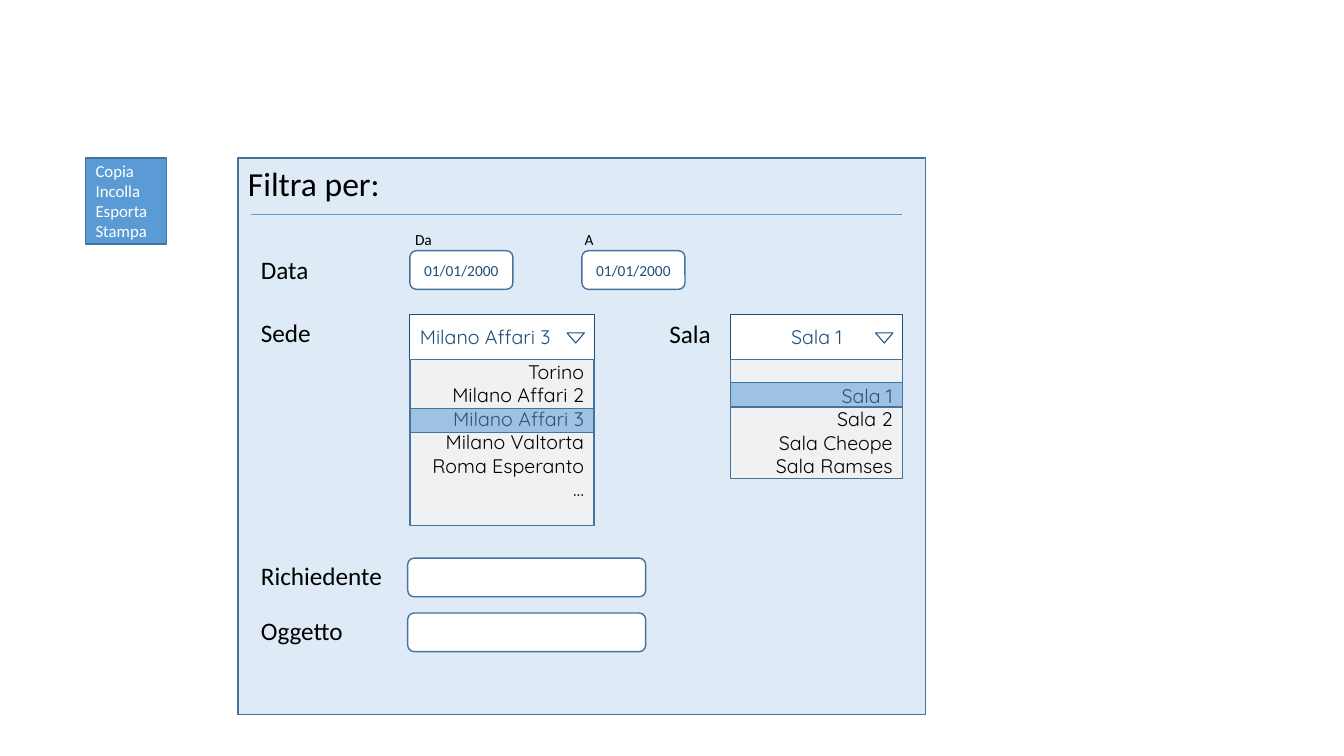
import pptx
import pptx.util
import pptx.dml.color
import pptx.enum.shapes
import pptx.enum.text
import pptx.oxml.ns
import lxml.etree

Pt = pptx.util.Pt
Shape = pptx.enum.shapes.MSO_SHAPE
Align = pptx.enum.text.PP_ALIGN
Anchor = pptx.enum.text.MSO_ANCHOR
qn = pptx.oxml.ns.qn

COLORS = {
    "black": "000000",
    "white": "FFFFFF",
    "panel": "DEEBF7",
    "accent": "5B9BD5",
    "border": "43739E",
    "navy": "1F4E79",
    "list": "F2F2F2",
}


class FilterForm:
    """Draws the elements of a filter form on one slide."""

    def __init__(self, slide):
        self.slide = slide
        self.font = "Calibri"
        self.list_font = "Quicksand"

    def color(self, name):
        return pptx.dml.color.RGBColor.from_string(COLORS[name])

    def add_text(self, sp, lines, size, color, font=None, align=Align.LEFT,
                 anchor=Anchor.MIDDLE, top=3.6):
        tf = sp.text_frame
        tf.word_wrap = True
        tf.vertical_anchor = anchor
        tf.margin_top = Pt(top)
        for i, line in enumerate(lines):
            p = tf.paragraphs[0] if i == 0 else tf.add_paragraph()
            p.alignment = align
            r = p.add_run()
            r.text = line
            r.font.size = Pt(size)
            r.font.name = font or self.font
            r.font.color.rgb = self.color(color)

    def box(self, x, y, w, h, fill, line="border", weight=1, kind=Shape.RECTANGLE, alpha=100):
        sp = self.slide.shapes.add_shape(kind, Pt(x), Pt(y), Pt(w), Pt(h))
        sp.shadow.inherit = False
        sp.fill.solid()
        sp.fill.fore_color.rgb = self.color(fill)
        sp.line.color.rgb = self.color(line)
        sp.line.width = Pt(weight)
        if alpha < 100:
            clr = sp._element.spPr.find(qn("a:solidFill"))[0]
            lxml.etree.SubElement(clr, qn("a:alpha")).set("val", str(alpha * 1000))
        return sp

    def label(self, x, y, w, text, size=18):
        sp = self.slide.shapes.add_textbox(Pt(x), Pt(y), Pt(w), Pt(size * 1.2 + 7.2))
        self.add_text(sp, [text], size, "black", anchor=Anchor.TOP)

    def field(self, x, y, w, text=None):
        sp = self.box(x, y, w, 27.6, "white", kind=Shape.ROUNDED_RECTANGLE)
        if text:
            self.add_text(sp, [text], 11, "navy", align=Align.CENTER)

    def dropdown(self, x, w, value, align, items, height, top, mark):
        sp = self.box(x, 224.6, w, 32.2, "white", "navy", 0.75)
        self.add_text(sp, [value], 14, "navy", self.list_font, align)
        sp = self.box(x + w - 19.4, 237.8, 12.4, 7.2, "white", "navy", 0.75,
                      Shape.ISOSCELES_TRIANGLE)
        sp.rotation = 180
        sp = self.box(x, 256.6, w, height, "list", alpha=88)
        self.add_text(sp, items, 14, "black", self.list_font, Align.RIGHT, Anchor.TOP, top)
        self.box(x, mark, w, 17.2, "accent", alpha=54)

    def rule(self, x1, x2, y):
        line = self.slide.shapes.add_connector(
            pptx.enum.shapes.MSO_CONNECTOR.STRAIGHT, Pt(x1), Pt(y), Pt(x2), Pt(y))
        line.line.color.rgb = self.color("accent")
        line.line.width = Pt(0.5)
        lxml.etree.SubElement(line._element.spPr, qn("a:effectLst"))


def main():
    prs = pptx.Presentation()
    prs.slide_width, prs.slide_height = Pt(960), Pt(540)
    form = FilterForm(prs.slides.add_slide(prs.slide_layouts[6]))

    menu = form.box(61.2, 113, 57.6, 61.2, "accent")
    form.add_text(menu, ["Copia", "Incolla", "Esporta", "Stampa"], 12, "white")
    panel = form.box(170, 113, 491, 397.6, "panel")
    form.add_text(panel, ["Filtra per:"], 24, "black", anchor=Anchor.TOP)
    form.rule(179.3, 644.4, 153.4)

    for text, x, y in [("Data", 179.3, 178), ("Sede", 179.3, 223.2), ("Sala", 471, 223.9),
                       ("Richiedente", 179.3, 397), ("Oggetto", 179.3, 436)]:
        form.label(x, y, 105, text)
    for text, x, label_x in [("Da", 292.8, 289.4), ("A", 415.7, 410.6)]:
        form.label(label_x, 160.8, 36, text, 11)
        form.field(x, 179.1, 73.6, "01/01/2000")
    for y in (398.7, 437.9):
        form.field(291.2, y, 170)

    form.dropdown(292.8, 131.6, "Milano Affari 3", Align.LEFT,
                  ["Torino", "Milano Affari 2", "Milano Affari 3", "Milano Valtorta",
                   "Roma Esperanto", "…"], 118.8, 0.2, 291.6)
    form.dropdown(521.8, 123, "Sala 1", Align.CENTER,
                  ["Sala 1", "Sala 2", "Sala Cheope", "Sala Ramses"], 85.4, 17.5, 273.4)

    prs.save("out.pptx")


if __name__ == "__main__":
    main()
